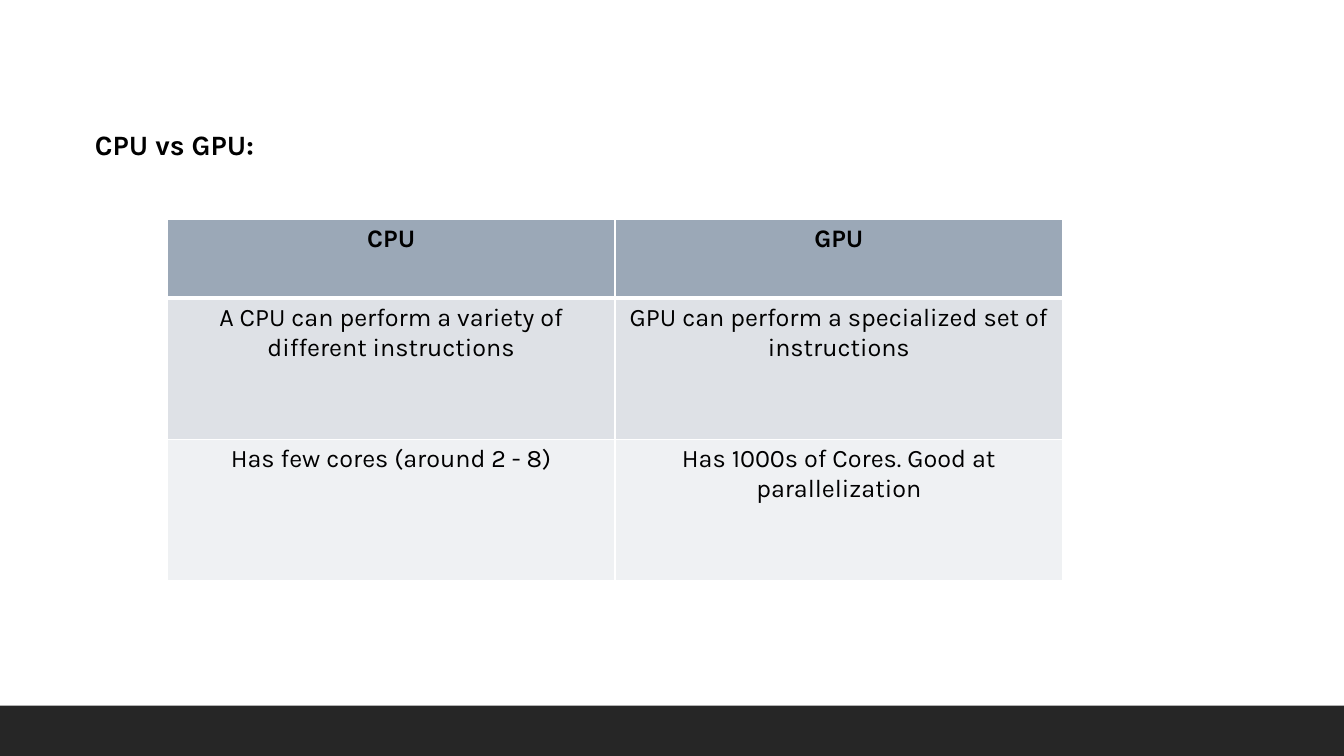
"""Build a slide that compares CPU and GPU in a table."""
from lxml.etree import SubElement as Sub
from pptx import Presentation as Deck
from pptx.dml.color import RGBColor as Rgb
from pptx.enum.shapes import MSO_SHAPE as Shape
from pptx.enum.text import MSO_ANCHOR as Anchor, MSO_AUTO_SIZE as Auto, PP_ALIGN as Align
from pptx.oxml.ns import qn
from pptx.util import Pt

PX = 9144
HUES = {"ink": "000000", "bar": "262626", "line": "FFFFFF",
        "head": "9BA8B7", "odd": "DEE1E6", "even": "EFF1F3"}
FACE = "Karla"
ROWS = [
    ("CPU", "GPU"),
    ("A CPU can perform a variety of different instructions",
     "GPU can perform a specialized set of instructions"),
    ("Has few cores (around 2 - 8)",
     "Has 1000s of Cores. Good at parallelization"),
]


class Board:
    def __init__(self, wide, high):
        self.deck = Deck()
        self.deck.slide_width, self.deck.slide_height = wide * PX, high * PX
        self.slide = self.deck.slides.add_slide(self.deck.slide_layouts[5])

    def paint(self, fill, hue):
        fill.solid()
        fill.fore_color.rgb = Rgb.from_string(HUES[hue])

    def label(self, frame, text, size, bold, align):
        frame.text = text
        para = frame.paragraphs[0]
        para.alignment = align
        style = {"name": FACE, "size": Pt(size), "bold": bold}
        for key, value in style.items():
            setattr(para.font, key, value)
        para.font.color.rgb = Rgb.from_string(HUES["ink"])

    def bar(self, *box):
        band = self.slide.shapes.add_shape(Shape.RECTANGLE, *(n * PX for n in box))
        band.shadow.inherit = False
        self.paint(band.fill, "bar")
        band.line.fill.background()

    def title(self, text, *box):
        head = self.slide.shapes.title
        for key, value in zip(("left", "top", "width", "height"), box):
            setattr(head, key, value * PX)
        frame = head.text_frame
        form = {"word_wrap": True, "auto_size": Auto.NONE, "vertical_anchor": Anchor.TOP}
        for key, value in form.items():
            setattr(frame, key, value)
        self.label(frame, text, 20, True, Align.LEFT)

    def edge(self, cell, side, width):
        line = Sub(cell._tc.get_or_add_tcPr(), qn(f"a:ln{side}"), w=str(Pt(width)))
        Sub(Sub(line, qn("a:solidFill")), qn("a:srgbClr"), val=HUES["line"])

    def table(self, rows, left, top, wide, highs):
        box = (left, top, wide, sum(highs))
        grid = self.slide.shapes.add_table(
            len(rows), len(rows[0]), *(n * PX for n in box)).table
        for i, (row, high) in enumerate(zip(rows, highs)):
            grid.rows[i].height = high * PX
            hue = ("head", "odd", "even")[i]
            edges = {"L": 1, "R": 1, "T": 3 if i == 1 else 1, "B": 3 if i == 0 else 1}
            for j, text in enumerate(row):
                cell = grid.cell(i, j)
                for side, width in edges.items():
                    self.edge(cell, side, width)
                self.paint(cell.fill, hue)
                self.label(cell.text_frame, text, 18, i == 0, Align.CENTER)


def main():
    board = Board(1333, 750)
    board.bar(0, 700, 1333, 50)
    board.title("CPU vs GPU:", 84, 121, 1227, 77)
    board.table(ROWS, 166, 218, 888, (78, 140, 140))
    board.deck.save("out.pptx")


if __name__ == "__main__":
    main()
